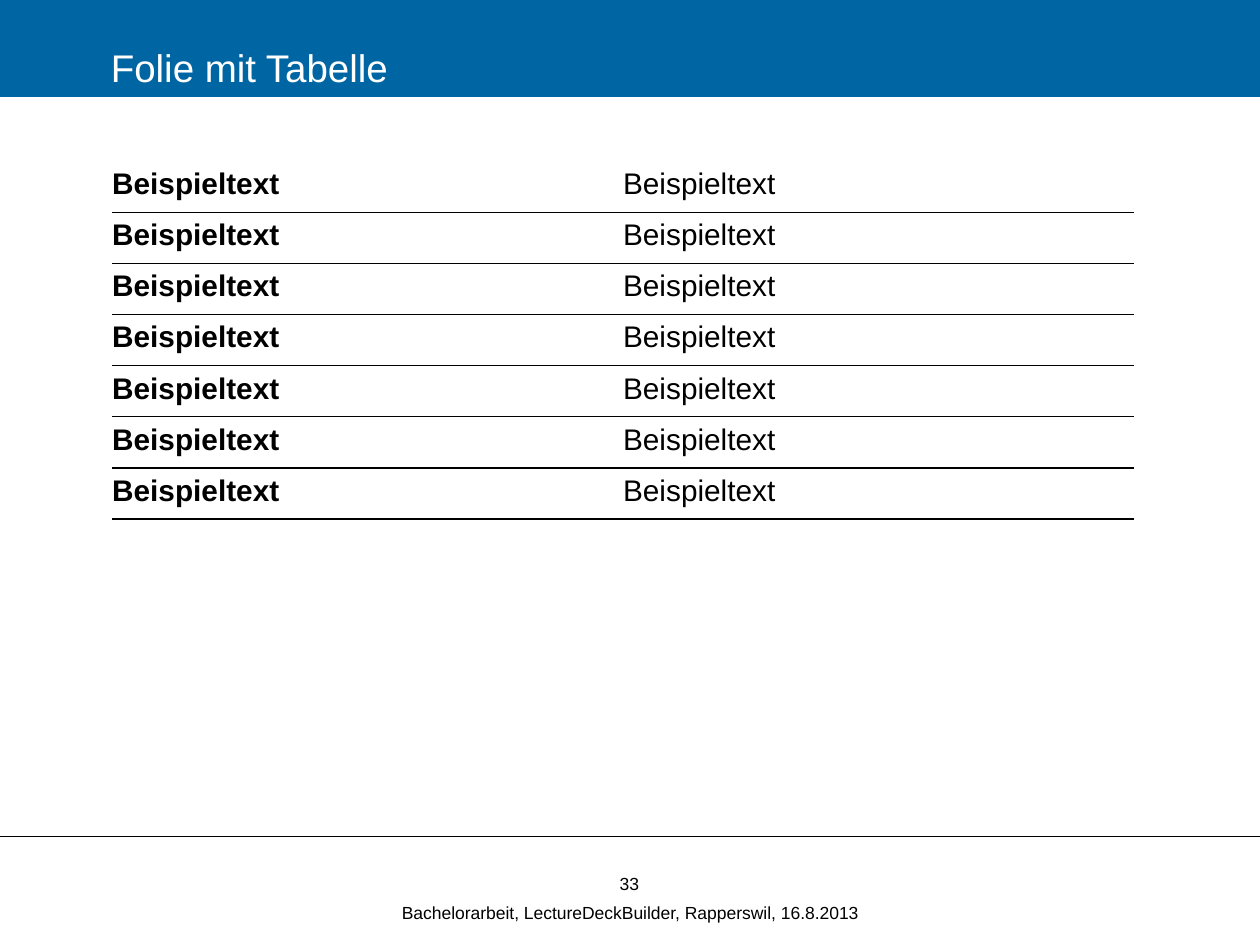
from dataclasses import dataclass

from lxml import etree
from pptx import Presentation
from pptx.dml.color import RGBColor
from pptx.enum.shapes import MSO_CONNECTOR
from pptx.enum.text import MSO_ANCHOR, MSO_AUTO_SIZE, PP_ALIGN
from pptx.oxml.ns import qn
from pptx.util import Inches, Pt

LEFT, CENTER = PP_ALIGN.LEFT, PP_ALIGN.CENTER
TOP, MIDDLE = MSO_ANCHOR.TOP, MSO_ANCHOR.MIDDLE
STRAIGHT = MSO_CONNECTOR.STRAIGHT
NO_AUTOFIT = MSO_AUTO_SIZE.NONE


@dataclass(frozen=True)
class Theme:
    font: str = "Arial"
    blue: str = "0065A3"
    white: str = "FFFFFF"
    black: str = "000000"
    title_size: float = 22
    table_size: float = 17
    footer_size: float = 10
    rule_width: float = 0.75
    border_width: float = 1


@dataclass(frozen=True)
class FooterLine:
    text: str
    left: float
    top: float
    width: float
    height: float


THEME = Theme()
ROWS = [("Beispieltext", "Beispieltext")] * 7
TABLE_LEFT, TABLE_TOP = 0.89, 1.28
TABLE_WIDTH, TABLE_HEIGHT = 8.11, 2.84
FOOTER = [
    FooterLine("Bachelorarbeit, LectureDeckBuilder, Rapperswil, 16.8.2013", 2.75, 7.1, 4.5, 0.28),
    FooterLine("33", 2.76, 6.95, 4.47, 0.13),
]


def write_text(tf, text: str, *, size: float, color: str = THEME.black,
               bold: bool = False, align=LEFT) -> None:
    p = tf.paragraphs[0]
    p.alignment = align
    r = p.add_run()
    r.text = text
    r.font.name = THEME.font
    r.font.size = Pt(size)
    r.font.bold = bold
    r.font.color.rgb = RGBColor.from_string(color)


def set_margins(target, left: float, top: float, right: float, bottom: float) -> None:
    target.margin_left, target.margin_top = Inches(left), Inches(top)
    target.margin_right, target.margin_bottom = Inches(right), Inches(bottom)


def set_borders(cell, ruled: str) -> None:
    """Rule the sides named in ruled (letters of LRTB) and clear the others."""
    tc_pr = cell._tc.get_or_add_tcPr()
    for side in "LRTB":
        ln = etree.SubElement(tc_pr, qn(f"a:ln{side}"))
        if side in ruled:
            ln.set("w", str(Pt(THEME.border_width)))
            fill = etree.SubElement(ln, qn("a:solidFill"))
            etree.SubElement(fill, qn("a:srgbClr"), val=THEME.black)
        else:
            ln.set("w", "0")
            etree.SubElement(ln, qn("a:noFill"))


def add_rule(s) -> None:
    line = s.shapes.add_connector(STRAIGHT, Inches(-0.04), Inches(6.64), Inches(10), Inches(6.64))
    line.line.color.rgb = RGBColor.from_string(THEME.black)
    line.line.width = Pt(THEME.rule_width)
    etree.SubElement(line._element.spPr, qn("a:effectLst"))


def add_title(s, text: str) -> None:
    sp = s.shapes.title
    sp.left, sp.top, sp.width, sp.height = 0, 0, Inches(10), Inches(0.77)
    sp.fill.solid()
    sp.fill.fore_color.rgb = RGBColor.from_string(THEME.blue)
    tf = sp.text_frame
    tf.auto_size = NO_AUTOFIT
    tf.vertical_anchor = MIDDLE
    set_margins(tf, 0.1, 0.35, 0.1, 0.05)
    write_text(tf, text, size=THEME.title_size, color=THEME.white)
    p_pr = tf.paragraphs[0]._p.get_or_add_pPr()
    p_pr.set("marL", str(Inches(0.78)))
    p_pr.set("indent", "0")


def add_example_table(s) -> None:
    table = s.shapes.add_table(
        len(ROWS), len(ROWS[0]), Inches(TABLE_LEFT), Inches(TABLE_TOP),
        Inches(TABLE_WIDTH), Inches(TABLE_HEIGHT)).table
    table.first_row = table.horz_banding = False
    for i, texts in enumerate(ROWS):
        for j, text in enumerate(texts):
            cell = table.cell(i, j)
            set_borders(cell, "TB" if i else "B")
            cell.fill.background()
            cell.vertical_anchor = TOP
            set_margins(cell, 0, 0.05, 0.1, 0.05)
            write_text(cell.text_frame, text, size=THEME.table_size, bold=j == 0)


def add_footer_line(s, line: FooterLine) -> None:
    sp = s.shapes.add_textbox(Inches(line.left), Inches(line.top),
                              Inches(line.width), Inches(line.height))
    tf = sp.text_frame
    tf.word_wrap = True
    tf.vertical_anchor = MIDDLE
    set_margins(tf, 0, 0, 0, 0)
    write_text(tf, line.text, size=THEME.footer_size, align=CENTER)


def main() -> None:
    prs = Presentation()
    prs.slide_width, prs.slide_height = Inches(10), Inches(7.5)
    s = prs.slides.add_slide(prs.slide_layouts.get_by_name("Title Only"))
    add_rule(s)
    add_title(s, "Folie mit Tabelle")
    add_example_table(s)
    for line in FOOTER:
        add_footer_line(s, line)
    prs.save("out.pptx")


if __name__ == "__main__":
    main()
